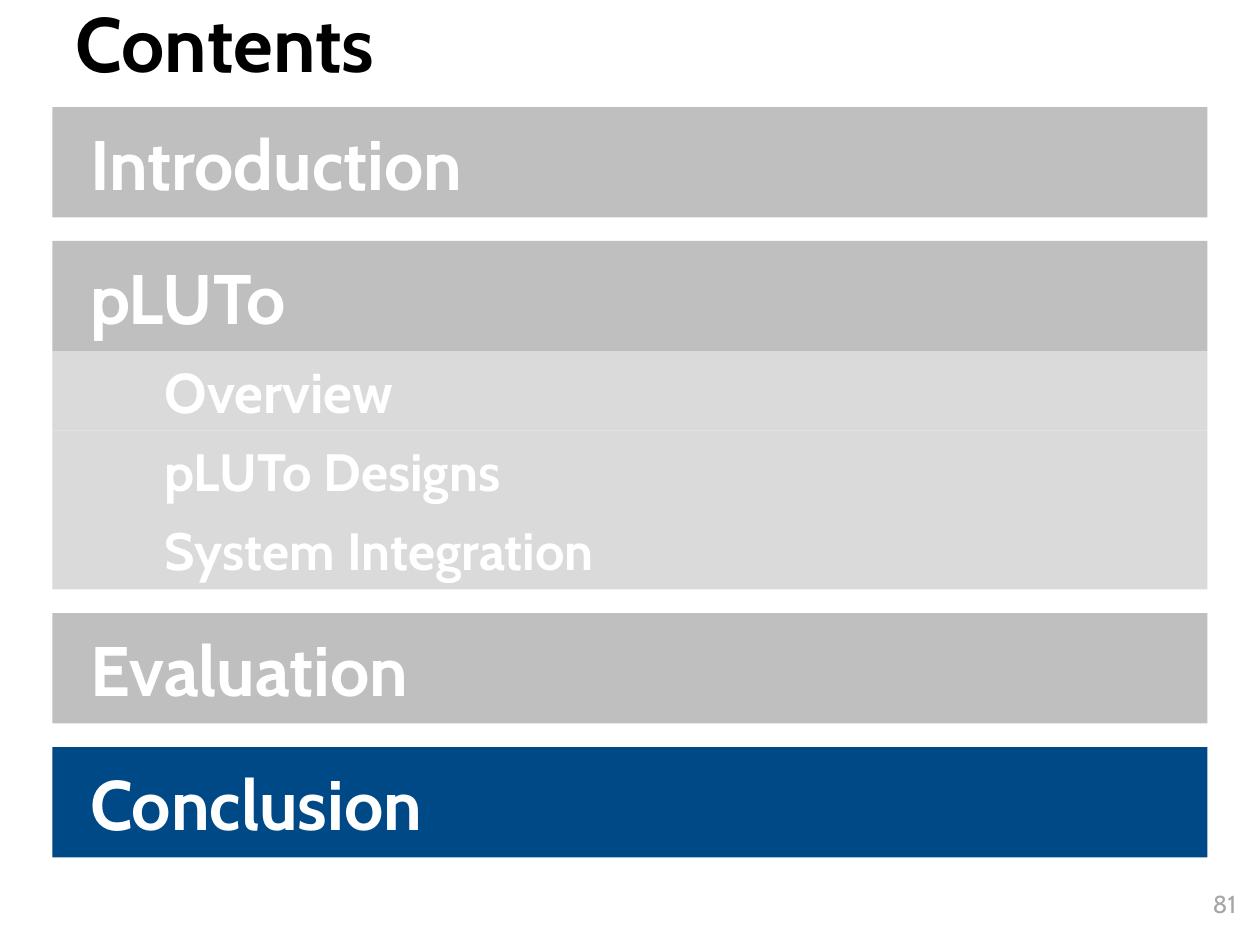
import pptx
import pptx.dml.color
import pptx.enum.shapes
import pptx.enum.text
import pptx.util

Pt = pptx.util.Pt
ANCHOR = pptx.enum.text.MSO_ANCHOR
ALIGN = pptx.enum.text.PP_ALIGN

COLORS = {
    "title": "000000",
    "text": "FFFFFF",
    "section": "BFBFBF",
    "topic": "DADADA",
    "current": "004987",
    "number": "A6A6A6",
}


class Deck:
    font = "Cabin"
    left, width = 30, 660

    def __init__(self):
        self.prs = pptx.Presentation()
        self.prs.slide_width, self.prs.slide_height = Pt(720), Pt(540)
        self.s = self.prs.slides.add_slide(self.prs.slide_layouts[5])

    def color(self, name):
        return pptx.dml.color.RGBColor.from_string(COLORS[name])

    def set_text(self, sp, text, size, color, bold=True,
                 align=ALIGN.LEFT, anchor=ANCHOR.TOP):
        tf = sp.text_frame
        tf.text = text
        tf.word_wrap = True
        tf.auto_size = pptx.enum.text.MSO_AUTO_SIZE.NONE
        tf.vertical_anchor = anchor
        p = tf.paragraphs[0]
        p.alignment = align
        r = p.runs[0]
        r.font.name, r.font.size, r.font.bold = self.font, Pt(size), bold
        r.font.color.rgb = self.color(color)
        return p

    def title(self, text):
        sp = self.s.shapes.title
        sp.left, sp.top, sp.width, sp.height = Pt(36), Pt(0), Pt(648), Pt(55.4)
        p = self.set_text(sp, text, 44, "title")
        p.line_spacing = 0.9

    def bar(self, text, top, height, fill, size, indent):
        sp = self.s.shapes.add_shape(
            pptx.enum.shapes.MSO_SHAPE.RECTANGLE,
            Pt(self.left), Pt(top), Pt(self.width), Pt(height))
        sp.shadow.inherit = False
        sp.fill.solid()
        sp.fill.fore_color.rgb = self.color(fill)
        sp.line.fill.background()
        p = self.set_text(sp, text, size, "text", anchor=ANCHOR.MIDDLE)
        p._p.get_or_add_pPr().set("indent", str(Pt(indent)))

    def number(self, text):
        sp = self.s.shapes.add_textbox(Pt(551.5), Pt(504.7), Pt(162), Pt(28.8))
        self.set_text(sp, text, 14, "number", bold=False, align=ALIGN.RIGHT)


def main():
    deck = Deck()
    deck.title("Contents")

    # Sections, each with its topics stacked directly below
    sections = [
        ("Introduction", "section", []),
        ("pLUTo", "section",
         [("Overview", 32), ("pLUTo Designs", 30), ("System Integration", 30)]),
        ("Evaluation", "section", []),
        ("Conclusion", "current", []),
    ]
    top, section_height, topic_height, gap = 61.2, 63, 45.4, 13.5
    for name, fill, topics in sections:
        deck.bar(name, top, section_height, fill, 40, 14.4)
        top += section_height
        for topic, size in topics:
            deck.bar(topic, top, topic_height, "topic", size, 57)
            top += topic_height
        top += gap

    # Slide number
    deck.number("81")
    deck.prs.save("out.pptx")


if __name__ == "__main__":
    main()
